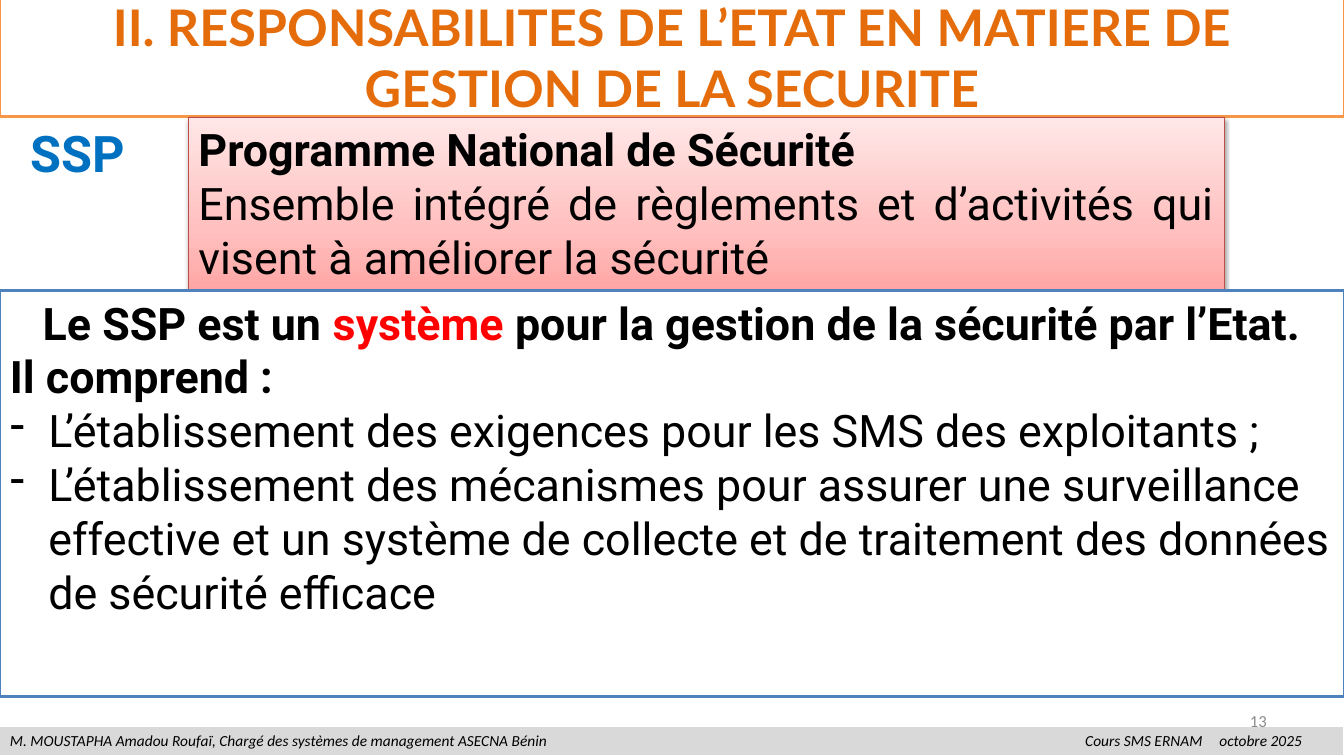
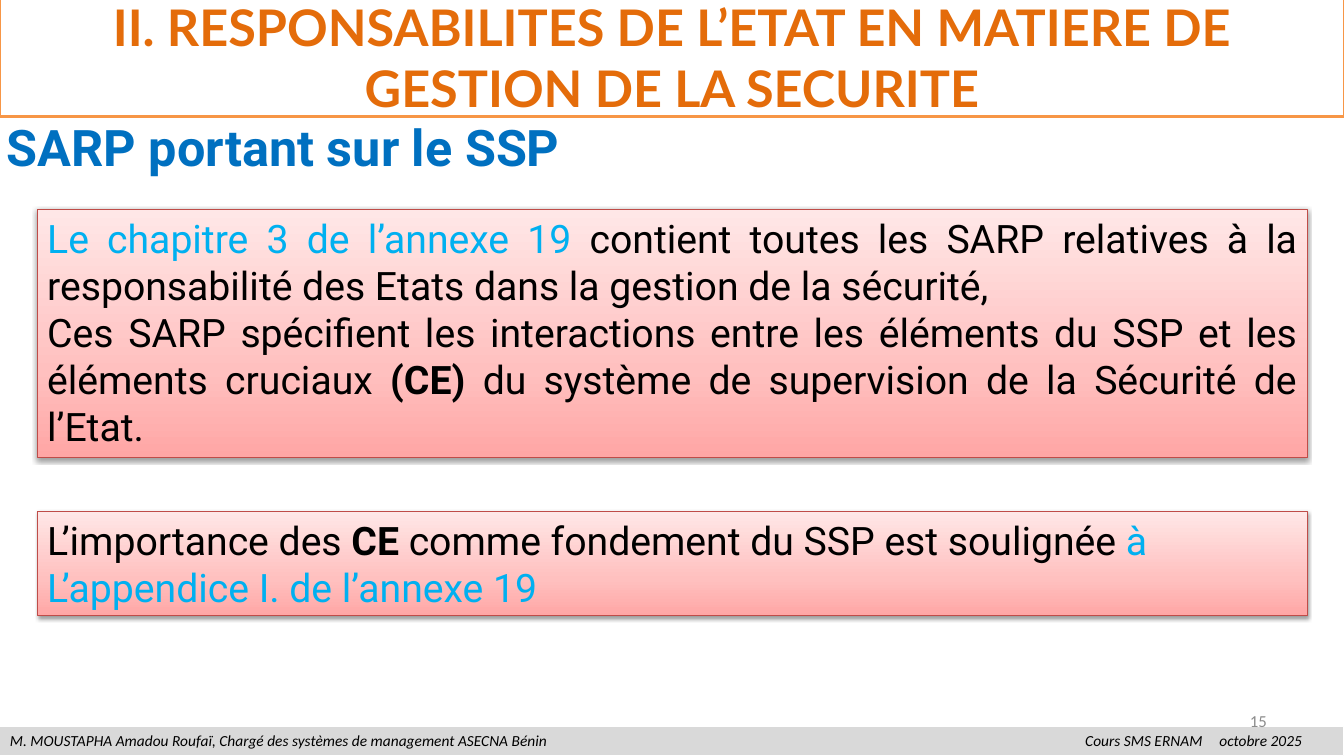
"""Two slides on the State's responsibilities in safety management."""
from copy import deepcopy
from dataclasses import dataclass

from pptx import Presentation
from pptx import util as u
from pptx.dml.color import RGBColor
from pptx.enum import shapes, text
from pptx.oxml import parse_xml
from pptx.oxml.ns import nsdecls, qn


@dataclass(frozen=True)
class Theme:
    white: str = "FFFFFF"
    black: str = "000000"
    band: str = "D9D9D9"
    title: str = "E46C0A"
    title_line: str = "F79646"
    number: str = "8C8C8C"
    heading: str = "0070C0"
    frame: str = "4F81BD"
    red: str = "FF0000"
    cyan: str = "00B0F0"
    pink_line: str = "BF4C48"
    pink: tuple = ((0, "FFA6A5"), (0.35, "FFC0BF"), (1, "FFE7E7"))
    title_font: str = "Lato"
    body_font: str = "Roboto"
    small_font: str = "Calibri"
    title_size: int = 36
    large: int = 32
    medium: int = 28
    number_size: int = 12
    footer_size: int = 11


T = Theme()
LEFT, CENTER, RIGHT, JUSTIFY = (text.PP_ALIGN.LEFT, text.PP_ALIGN.CENTER,
                                text.PP_ALIGN.RIGHT, text.PP_ALIGN.JUSTIFY)
TOP, MIDDLE = text.MSO_ANCHOR.TOP, text.MSO_ANCHOR.MIDDLE
W, H = 33.87, 19.05


def add_box(s, at, paras, size, font=T.body_font, fill=None, line=None, width=0.75, anchor=TOP):
    """Add a box whose paragraphs are (alignment, [(text, colour, bold), ...])."""
    at = [u.Cm(v) for v in at]
    if fill is None:
        sp = s.shapes.add_textbox(*at)
    else:
        sp = s.shapes.add_shape(shapes.MSO_SHAPE.RECTANGLE, *at)
        sp.shadow.inherit = False
        sp.line.color.rgb = RGBColor.from_string(line)
        sp.line.width = u.Pt(width)
        if isinstance(fill, str):
            sp.fill.solid()
            sp.fill.fore_color.rgb = RGBColor.from_string(fill)
        else:
            sp.fill.gradient()
            sp.fill.gradient_angle = 90
            stops = sp._element.spPr.find(qn("a:gradFill")).find(qn("a:gsLst"))
            stops.append(deepcopy(stops[0]))
            for stop, (position, color) in zip(sp.fill.gradient_stops, fill):
                stop.position = position
                stop.color.rgb = RGBColor.from_string(color)
    tf = sp.text_frame
    tf.word_wrap = True
    tf.vertical_anchor = anchor
    for i, (align, runs) in enumerate(paras):
        p = tf.add_paragraph() if i else tf.paragraphs[0]
        p.alignment = align
        for content, color, bold in runs:
            r = p.add_run()
            r.text = content
            r.font.name, r.font.size, r.font.bold = font, u.Pt(size), bold
            r.font.color.rgb = RGBColor.from_string(color)
    return sp


def add_pink_box(s, at, paras, size):
    """Add a pink gradient box with a soft shadow below it."""
    sp = add_box(s, at, paras, size, fill=T.pink, line=T.pink_line)
    sp._element.spPr.find(qn("a:effectLst")).append(parse_xml(
        f'<a:outerShdw {nsdecls("a")} blurRad="{u.Pt(3.1)}" dist="{u.Pt(1.6)}" dir="5400000" '
        f'rotWithShape="0"><a:srgbClr val="{T.black}"><a:alpha val="38000"/></a:srgbClr></a:outerShdw>'))


prs = Presentation()
prs.slide_width, prs.slide_height = u.Cm(W), u.Cm(H)

for number in ("13", "15"):
    s = prs.slides.add_slide(prs.slide_layouts[6])
    footer = add_box(s, (0, 18.31, W, 0.74), [(LEFT, [
        ("M. MOUSTAPHA Amadou Roufaï, Chargé des systèmes de management ASECNA Bénin"
         "\tCours SMS ERNAM\toctobre 2025", T.black, False)])],
        T.footer_size, T.small_font, T.band, T.white)
    p = footer.text_frame.paragraphs[0]
    p.runs[0].font.italic = True
    tabs = "".join(f'<a:tab pos="{u.Cm(pos)}" algn="l"/>' for pos in (27.1, 30.48))
    p._p.get_or_add_pPr().append(parse_xml(f'<a:tabLst {nsdecls("a")}>{tabs}</a:tabLst>'))
    add_box(s, (0, -0.08, W, 3.02), [(CENTER, [
        ("II. RESPONSABILITES DE L’ETAT EN MATIERE DE GESTION DE LA SECURITE", T.title, True)])],
        T.title_size, T.title_font, T.white, T.title_line, 2, MIDDLE)
    add_box(s, (24.28, 17.65, 7.9, 1.02), [(RIGHT, [(number, T.number, False)])],
            T.number_size, T.small_font, anchor=MIDDLE)

program, sarp = prs.slides

add_pink_box(program, (4.75, 2.95, 26.11, 4.37), [
    (JUSTIFY, [("Programme National de Sécurité", T.black, True)]),
    (JUSTIFY, [("Ensemble intégré de règlements et d’activités qui visent à améliorer la sécurité",
                T.black, False)]),
], T.large)
add_box(program, (0.53, 2.95, 3.61, 1.8), [(LEFT, [("SSP", T.heading, True)])], T.title_size)
content = add_box(program, (0, 7.32, W, 10.24), [
    (CENTER, [("Le SSP est un ", T.black, True), ("système ", T.red, True),
              ("pour la gestion de la sécurité par l’Etat.", T.black, True)]),
    (LEFT, [("Il comprend :", T.black, True)]),
    (LEFT, [("L’établissement des exigences pour les SMS des exploitants ;", T.black, False)]),
    (LEFT, [("L’établissement des mécanismes pour assurer une surveillance effective et un système "
             "de collecte et de traitement des données de sécurité efficace", T.black, False)]),
], T.large, fill=T.white, line=T.frame, width=2)
for p in content.text_frame.paragraphs[2:]:
    pPr = p._p.get_or_add_pPr()
    pPr.set("marL", str(u.Cm(0.97)))
    pPr.set("indent", str(-u.Cm(0.97)))
    pPr.append(parse_xml(f'<a:buChar {nsdecls("a")} char="-"/>'))

add_box(sarp, (-0.08, 2.79, 20.19, 1.8),
        [(LEFT, [("SARP portant sur le SSP", T.heading, True)])], T.title_size)
add_pink_box(sarp, (0.94, 5.28, 32, 6.25), [
    (JUSTIFY, [("Le chapitre 3 de l’annexe 19 ", T.cyan, False),
               ("contient toutes les SARP relatives à la responsabilité des Etats dans la gestion "
                "de la sécurité,", T.black, False)]),
    (JUSTIFY, [("Ces SARP spécifient les interactions entre les éléments du SSP et les éléments "
                "cruciaux ", T.black, False), ("(CE) ", T.black, True),
               ("du système de supervision de la Sécurité de l’Etat.", T.black, False)]),
], T.medium)
add_pink_box(sarp, (0.94, 12.88, 32, 2.64), [
    (LEFT, [("L’importance des ", T.black, False), ("CE", T.black, True),
            (" comme fondement du SSP est soulignée ", T.black, False),
            ("à L’appendice I. de l’annexe 19", T.cyan, False)]),
], T.medium)

prs.save("out.pptx")
